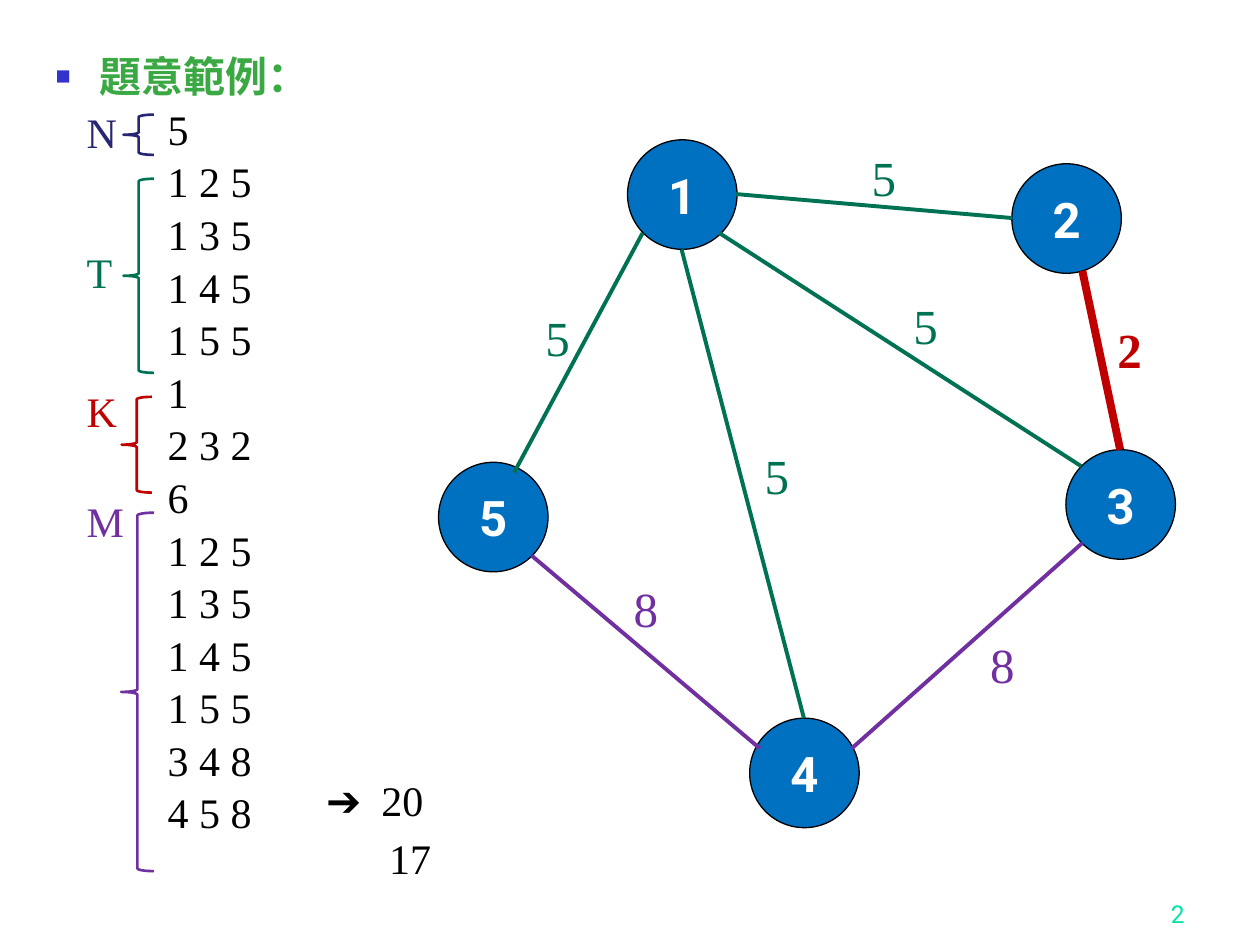
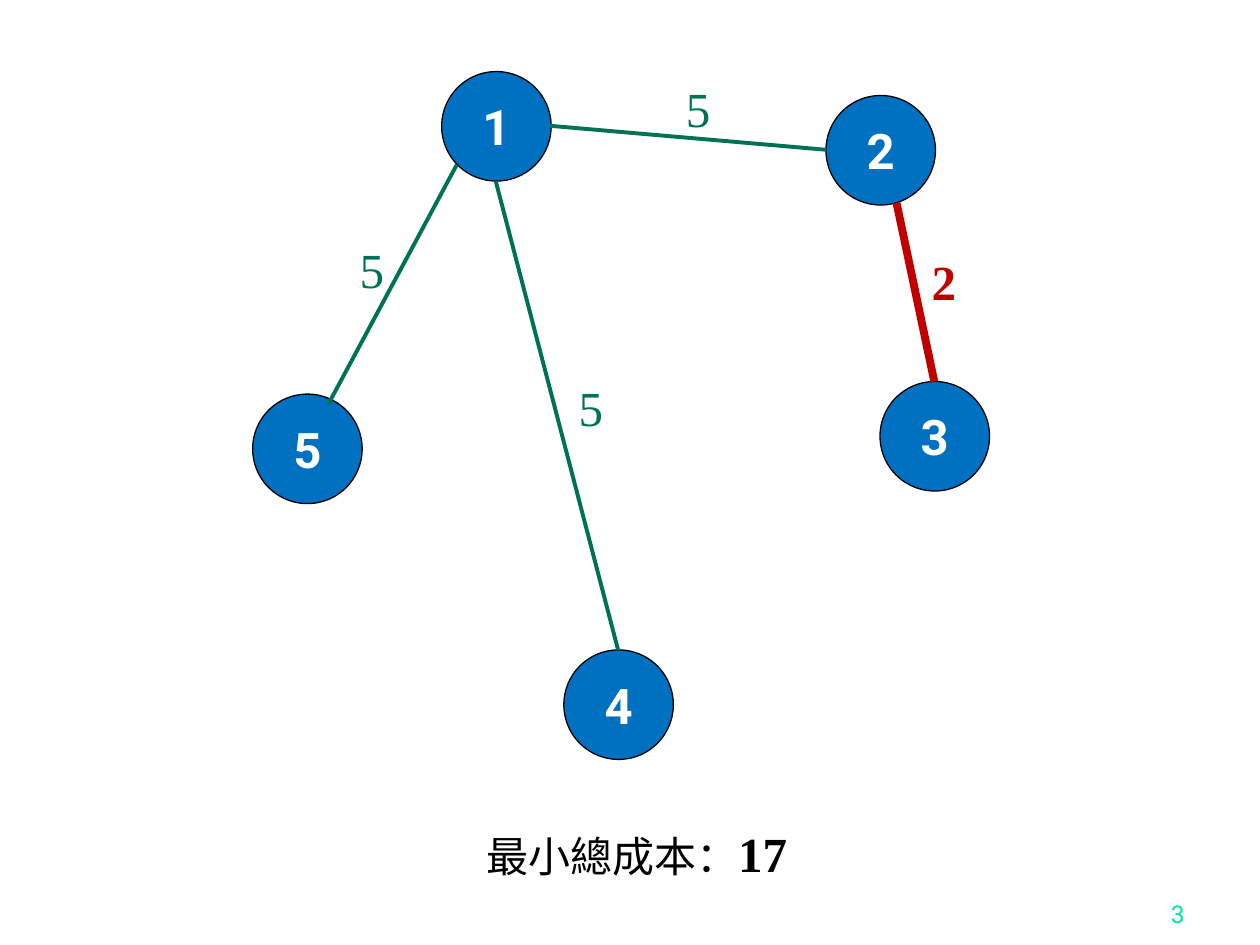
from dataclasses import dataclass

from lxml import etree
from pptx import Presentation
from pptx.dml.color import RGBColor
from pptx.enum.shapes import MSO_CONNECTOR, MSO_SHAPE
from pptx.enum.text import MSO_ANCHOR, MSO_AUTO_SIZE, PP_ALIGN
from pptx.oxml.ns import qn
from pptx.util import Pt

STRAIGHT = MSO_CONNECTOR.STRAIGHT
CIRCLE = MSO_SHAPE.FLOWCHART_CONNECTOR
LEFT_BRACE = MSO_SHAPE.LEFT_BRACE
TOP, MIDDLE, BOTTOM = MSO_ANCHOR.TOP, MSO_ANCHOR.MIDDLE, MSO_ANCHOR.BOTTOM
LEFT, CENTER, RIGHT = PP_ALIGN.LEFT, PP_ALIGN.CENTER, PP_ALIGN.RIGHT
NO_AUTOFIT = MSO_AUTO_SIZE.NONE

# Shared look
SERIF, SANS, SYMBOL = "Times New Roman", "Roboto", "Arial"
BLACK, WHITE, NAVY, GREEN = "000000", "FFFFFF", "262673", "007254"
RED, PURPLE, NODE_BLUE = "C00000", "7030A0", "0070C0"
HEADING_GREEN, BULLET_BLUE, PAGE_MINT = "3BA943", "3333CC", "00E4A8"
NODE_SIZE = 62.6


@dataclass(frozen=True)
class Node:
    label: str
    left: float
    top: float


@dataclass(frozen=True)
class Edge:
    cost: str
    start: tuple[float, float]
    end: tuple[float, float]
    cost_at: tuple[float, float]
    color: str = GREEN
    weight: float = 2.25
    bold: bool = False


@dataclass(frozen=True)
class InputGroup:
    letter: str
    letter_top: float
    brace: tuple[float, float, float, float]
    color: str


NODES = [
    Node("1", 358.6, 79.9),
    Node("2", 578.2, 93.6),
    Node("4", 428.4, 410.4),
    Node("3", 609.1, 257),
    Node("5", 250.6, 264.2),
]
# Edges of the cheapest tree, then the remaining ones
TREE_EDGES = [
    Edge("5", (367.2, 133.2), (293.8, 270), (304.6, 172.1)),
    Edge("5", (578.2, 124.6), (420.5, 110.9), (491, 80.6)),
    Edge("5", (459.4, 410.4), (389.5, 142.6), (429.8, 251.3)),
    Edge("2", (640.1, 257), (618.5, 154.8), (631.4, 179.3), RED, 4.5, True),
]
OTHER_EDGES = [
    Edge("5", (617.8, 266.4), (411.1, 133.2), (514.8, 165.6)),
    Edge("8", (434.2, 427.7), (303.8, 317.5), (355, 326.9), PURPLE),
    Edge("8", (618.5, 310.3), (486.7, 427.7), (558.7, 359.3), PURPLE),
]
INPUT_GROUPS = [
    InputGroup("N", 57.6, (70.6, 65.5, 17.3, 23), NAVY),
    InputGroup("T", 137.5, (70.6, 102.2, 17.3, 110.9), GREEN),
    InputGroup("K", 216.7, (69.5, 226.8, 17.3, 54.7), RED),
    InputGroup("M", 279.4, (69.2, 293, 18.7, 204.8), PURPLE),
]
INPUT_LINES = ["5", "1 2 5", "1 3 5", "1 4 5", "1 5 5", "1", "2 3 2", "6",
               "1 2 5", "1 3 5", "1 4 5", "1 5 5", "3 4 8", "4 5 8"]


def rgb(color: str) -> RGBColor:
    return RGBColor.from_string(color)


def add_text(paragraph, text: str, *, size: float = 24, color: str = BLACK,
             font: str = SERIF, bold: bool = False) -> None:
    run = paragraph.add_run()
    run.text = text
    run.font.size = Pt(size)
    run.font.name = font
    run.font.bold = bold
    run.font.color.rgb = rgb(color)


def add_box(slide, left: float, top: float, width: float, height: float = 36,
            *, anchor=TOP, align=LEFT):
    """Place an empty text box and return its first paragraph."""
    frame = slide.shapes.add_textbox(Pt(left), Pt(top), Pt(width), Pt(height)).text_frame
    frame.word_wrap = True
    frame.vertical_anchor = anchor
    frame.paragraphs[0].alignment = align
    return frame.paragraphs[0]


def add_child(parent, tag: str, **attributes: str):
    return etree.SubElement(parent, qn(tag), attributes)


def draw_node(slide, node: Node, dx: float, dy: float) -> None:
    circle = slide.shapes.add_shape(CIRCLE, Pt(node.left + dx), Pt(node.top + dy),
                                    Pt(NODE_SIZE), Pt(NODE_SIZE))
    circle.shadow.inherit = False
    circle.fill.solid()
    circle.fill.fore_color.rgb = rgb(NODE_BLUE)
    circle.line.color.rgb = rgb(BLACK)
    circle.line.width = Pt(0.75)
    frame = circle.text_frame
    frame.word_wrap = False
    frame.vertical_anchor = MIDDLE
    frame.paragraphs[0].alignment = CENTER
    add_text(frame.paragraphs[0], node.label, size=28, color=WHITE, font=SANS, bold=True)


def draw_edge(slide, edge: Edge, dx: float, dy: float) -> None:
    (x1, y1), (x2, y2) = edge.start, edge.end
    line = slide.shapes.add_connector(STRAIGHT, Pt(x1 + dx), Pt(y1 + dy),
                                      Pt(x2 + dx), Pt(y2 + dy))
    line.line.color.rgb = rgb(edge.color)
    line.line.width = Pt(edge.weight)
    add_child(line._element.spPr, "a:effectLst")
    cost_left, cost_top = edge.cost_at
    cost = add_box(slide, cost_left + dx, cost_top + dy, 32.4, 41)
    add_text(cost, edge.cost, size=28, color=edge.color, bold=edge.bold)


def draw_graph(slide, edges: list[Edge], dx: float = 0, dy: float = 0) -> None:
    for node in NODES:
        draw_node(slide, node, dx, dy)
    for edge in edges:
        draw_edge(slide, edge, dx, dy)


def draw_input_group(slide, group: InputGroup) -> None:
    brace = slide.shapes.add_shape(LEFT_BRACE, *map(Pt, group.brace))
    brace.shadow.inherit = False
    brace.fill.background()
    brace.line.color.rgb = rgb(group.color)
    brace.line.width = Pt(1.5)
    letter = add_box(slide, 42.5, group.letter_top, 33.8)
    add_text(letter, group.letter, color=group.color)


def draw_page_number(slide, number: int) -> None:
    page = add_box(slide, 534.2, 498.2, 149.8, anchor=BOTTOM, align=RIGHT)
    add_text(page, str(number), size=14, color=PAGE_MINT, font=SANS)


def format_list_line(paragraph, margin: float, indent: float = 0, bullet: str = "") -> None:
    paragraph.alignment = LEFT
    paragraph.line_spacing = 0.8
    properties = paragraph._p.get_or_add_pPr()
    properties.set("marL", str(Pt(margin)))
    properties.set("indent", str(Pt(indent)))
    if bullet:
        add_child(add_child(properties, "a:buClr"), "a:srgbClr", val=BULLET_BLUE)
        add_child(properties, "a:buSzPct", val="60000")
        add_child(properties, "a:buFont", typeface=SYMBOL)
        add_child(properties, "a:buChar", char=bullet)
    else:
        add_child(properties, "a:buNone")


def fill_input_list(body) -> None:
    body.left, body.top, body.width, body.height = map(Pt, (16.6, 31, 686.9, 463))
    frame = body.text_frame
    frame.auto_size = NO_AUTOFIT
    frame.vertical_anchor = TOP
    heading = frame.paragraphs[0]
    heading.space_before = Pt(0)
    format_list_line(heading, 33, -25, "■")
    add_text(heading, "題意範例：", color=HEADING_GREEN, bold=True)
    for values in INPUT_LINES:
        line = frame.add_paragraph()
        line.space_before = Pt(7)
        format_list_line(line, 72)
        add_text(line, values)


def build_example_slide(deck) -> None:
    slide = deck.slides.add_slide(deck.slide_layouts[1])
    title = slide.shapes.title._element
    title.getparent().remove(title)
    draw_page_number(slide, 2)
    fill_input_list(slide.placeholders[1])
    for group in INPUT_GROUPS:
        draw_input_group(slide, group)
    draw_graph(slide, TREE_EDGES + OTHER_EDGES)

    # Expected output
    first_answer = add_box(slide, 179.3, 439.2, 87.1)
    tabs = add_child(first_answer._p.get_or_add_pPr(), "a:tabLst")
    add_child(tabs, "a:tab", pos=str(Pt(31.5)), algn="l")
    add_text(first_answer, "➔", font=SYMBOL)
    add_text(first_answer, "\t20")
    add_text(add_box(slide, 215.3, 472.3, 51.1), "17")


def build_answer_slide(deck) -> None:
    slide = deck.slides.add_slide(deck.slide_layouts[6])
    draw_page_number(slide, 3)
    draw_graph(slide, TREE_EDGES, dx=-106.2, dy=-39)
    total = add_box(slide, 270.7, 467.3, 214.6, 41)
    add_text(total, "最小總成本：")
    add_text(total, "17", size=28, bold=True)


def main() -> None:
    deck = Presentation()
    deck.slide_width, deck.slide_height = Pt(720), Pt(540)
    build_example_slide(deck)
    build_answer_slide(deck)
    deck.save("out.pptx")


if __name__ == "__main__":
    main()
